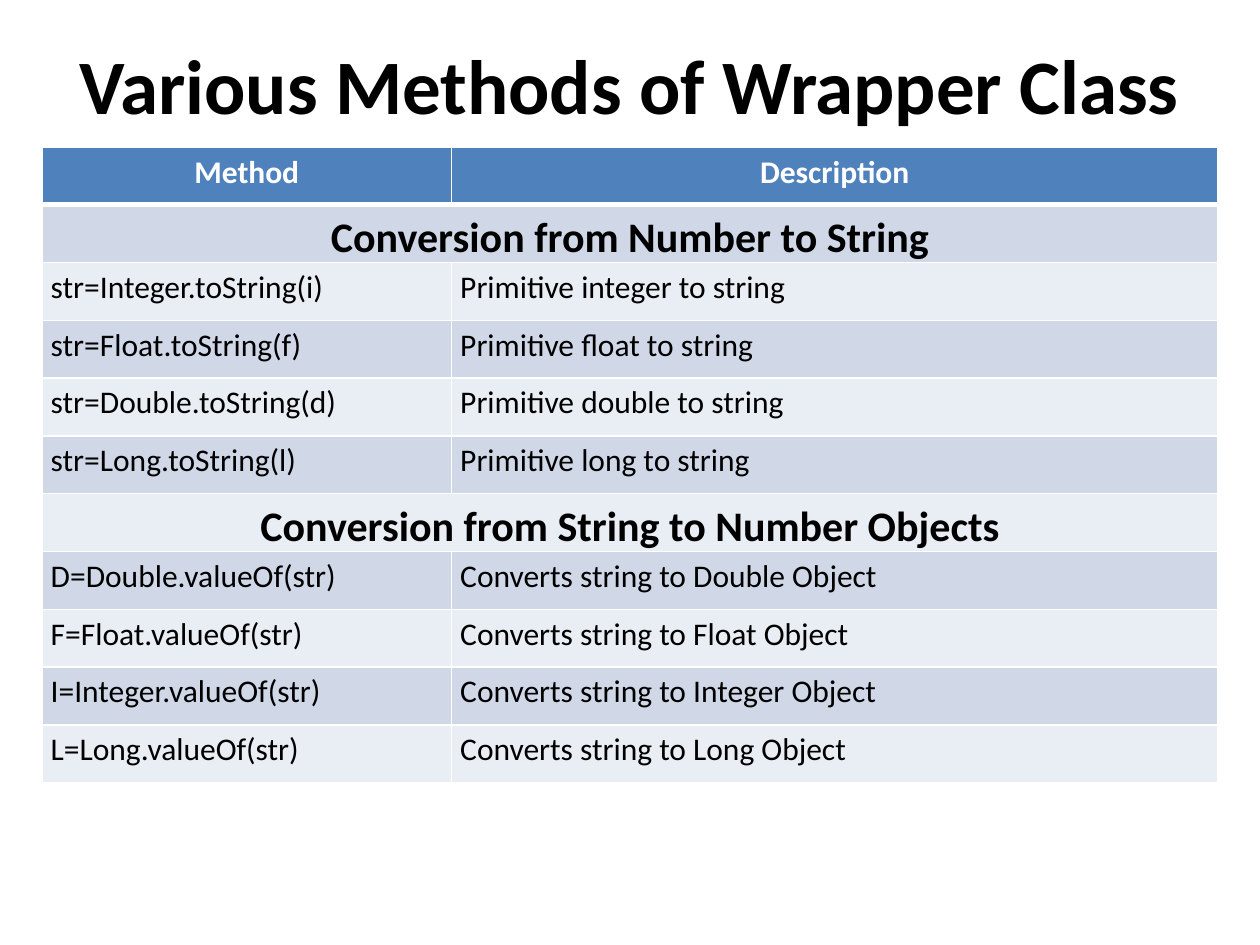
from lxml import etree
from pptx import Presentation
from pptx.dml.color import RGBColor
from pptx.enum.text import MSO_ANCHOR, PP_ALIGN
from pptx.oxml.ns import qn
from pptx.util import Pt

LEFT, CENTER = PP_ALIGN.LEFT, PP_ALIGN.CENTER
MIDDLE = MSO_ANCHOR.MIDDLE

FONT = "Calibri"
BLACK, WHITE = "000000", "FFFFFF"
HEADER_FILL = "4F81BD"
BAND_FILLS = ["D0D8E8", "E9EDF4"]
COLUMN_WIDTHS = [234, 438]
ROW_HEIGHT = 33

# A row with a single entry is a section heading across both columns.
ROWS = [
    ["Method", "Description"],
    ["Conversion from Number to String"],
    ["str=Integer.toString(i)", "Primitive integer to string"],
    ["str=Float.toString(f)", "Primitive float to string"],
    ["str=Double.toString(d)", "Primitive double to string"],
    ["str=Long.toString(l)", "Primitive long to string"],
    ["Conversion from String to Number Objects"],
    ["D=Double.valueOf(str)", "Converts string to Double Object"],
    ["F=Float.valueOf(str)", "Converts string to Float Object"],
    ["I=Integer.valueOf(str)", "Converts string to Integer Object"],
    ["L=Long.valueOf(str)", "Converts string to Long Object"],
]


def rgb(color):
    return RGBColor.from_string(color)


def write_text(frame, text, size=18, color=BLACK, bold=False, align=LEFT, spacing=None):
    para = frame.paragraphs[0]
    para.alignment = align
    para.line_spacing = spacing
    span = para.add_run()
    span.text = text
    span.font.name = FONT
    span.font.size = Pt(size)
    span.font.bold = bold
    span.font.color.rgb = rgb(color)


def add_title(page, text):
    box = page.shapes.add_textbox(Pt(0), Pt(12), Pt(720), Pt(72))
    box.text_frame.word_wrap = True
    box.text_frame.vertical_anchor = MIDDLE
    write_text(box.text_frame, text, size=44, bold=True, align=CENTER)


def set_borders(cell, top, bottom):
    """Draw white cell borders; top and bottom are widths in points."""
    properties = cell._tc.get_or_add_tcPr()
    for side, width in [("L", 1), ("R", 1), ("T", top), ("B", bottom)]:
        line = etree.SubElement(properties, qn(f"a:ln{side}"), w=str(Pt(width)))
        fill = etree.SubElement(line, qn("a:solidFill"))
        etree.SubElement(fill, qn("a:srgbClr"), val=WHITE)


def style_cell(cell, row):
    set_borders(cell, top=3 if row == 1 else 1, bottom=3 if row == 0 else 1)
    cell.fill.solid()
    cell.fill.fore_color.rgb = rgb(BAND_FILLS[(row - 1) % 2] if row else HEADER_FILL)
    if row:
        cell.margin_left = cell.margin_right = Pt(5)
        cell.margin_top = cell.margin_bottom = Pt(0)


def add_method_table(page):
    frame = page.shapes.add_table(
        len(ROWS), len(COLUMN_WIDTHS), Pt(24), Pt(84),
        Pt(sum(COLUMN_WIDTHS)), Pt(ROW_HEIGHT * len(ROWS)))
    table = frame.table
    for column, width in zip(table.columns, COLUMN_WIDTHS):
        column.width = Pt(width)
    for row, texts in enumerate(ROWS):
        table.rows[row].height = Pt(ROW_HEIGHT)
        if len(texts) == 1:
            table.cell(row, 0).merge(table.cell(row, 1))
            style = dict(size=24, bold=True, align=CENTER, spacing=1.15)
        elif row == 0:
            style = dict(color=WHITE, bold=True, align=CENTER)
        else:
            style = dict(spacing=1.15)
        for cell in table.rows[row].cells:
            style_cell(cell, row)
        for column, text in enumerate(texts):
            write_text(table.cell(row, column).text_frame, text, **style)


def main():
    deck = Presentation()
    deck.slide_width, deck.slide_height = Pt(720), Pt(540)
    page = deck.slides.add_slide(deck.slide_layouts[6])
    add_title(page, "Various Methods of Wrapper Class")
    add_method_table(page)
    deck.save("out.pptx")


if __name__ == "__main__":
    main()
